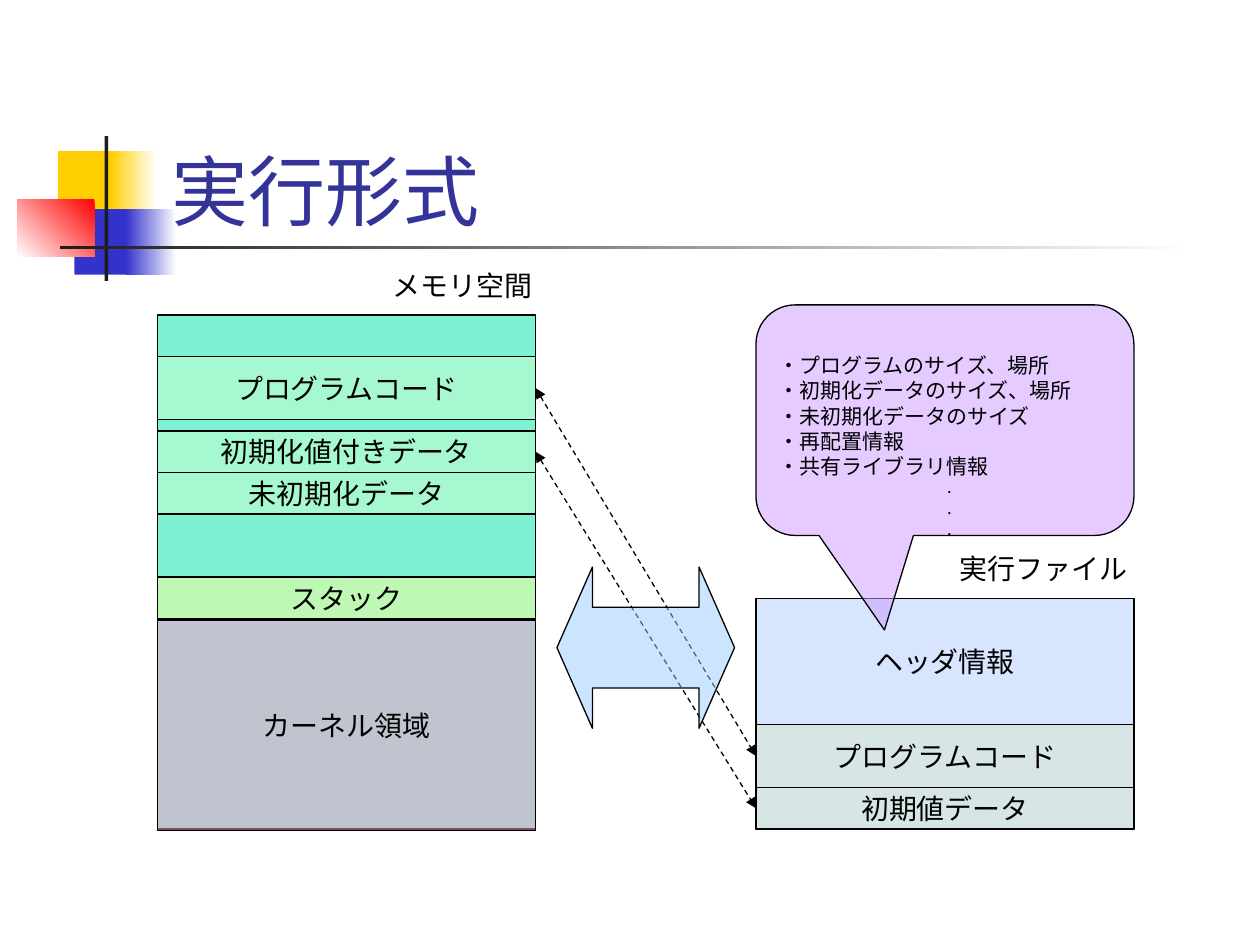
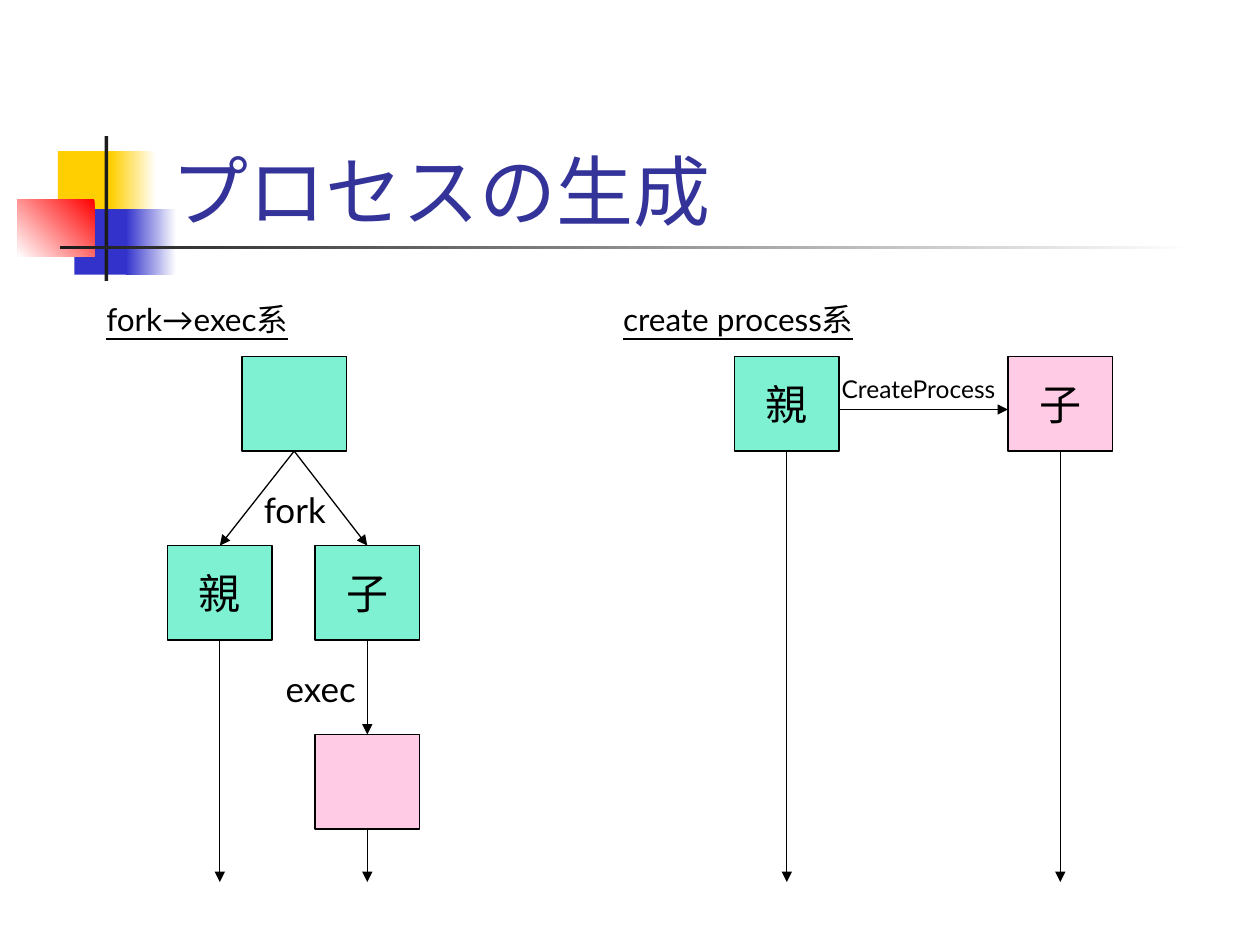
from lxml.etree import SubElement
from pptx import Presentation
from pptx.dml.color import RGBColor
from pptx.enum.dml import MSO_LINE
from pptx.enum.shapes import MSO_CONNECTOR, MSO_SHAPE
from pptx.enum.text import MSO_ANCHOR, MSO_AUTO_SIZE, PP_ALIGN
from pptx.oxml.ns import qn
from pptx.util import Inches, Pt

FONT = "Lato"
HUES = {
    "ink": "000000", "title": "333399", "white": "FFFFFF",
    "gold": "FFCF01", "blue": "3333CC", "red": "FF0000", "dark": "1C1C1C",
    "green": "00E4A8", "mint": "CCFFCC", "pink": "FF99CC",
    "lemon": "FFFF99", "violet": "CC99FF", "aqua": "CCFFFF", "sky": "99CCFF",
}
TOP, LEFT, BOTTOM, RIGHT = range(4)

DECOR = [
    ((0.46, 1.2, 0.48, 0.52), ["gold"], 0),
    ((0.88, 1.2, 0.36, 0.52), ["white", "gold"], 180),
    ((0.59, 1.66, 0.46, 0.52), ["blue"], 0),
    ((1, 1.66, 0.4, 0.52), ["white", "blue"], 180),
    ((0.14, 1.58, 0.61, 0.46), ["red", "white"], 225),
    ((0.83, 1.08, 0.03, 1.15), ["dark"], 0),
    ((0.48, 1.95, 9, 0.03), ["white", "dark"], 180),
]

BAR = 3
MEMORY = 1.25, [
    (2.5, 4.08, "green", ""),
    (4.92, 1.67, "pink", "カーネル領域"),
    (2.83, 0.5, "mint", "プログラムコード"),
    (3.42, 0.33, "mint", "初期化値付きデータ"),
    (4.58, 0.33, "lemon", "スタック"),
    (3.75, 0.33, "mint", "未初期化データ"),
]
FILE = 6, [
    (4.75, 1.83, "violet", ""),
    (5.75, 0.5, "mint", "プログラムコード"),
    (6.25, 0.33, "mint", "初期値データ"),
    (4.75, 1, "aqua", "ヘッダ情報"),
]
LINKS = [("プログラムコード", "プログラムコード"), ("初期化値付きデータ", "初期値データ")]
HEADER = [
    "・プログラムのサイズ、場所",
    "・初期化データのサイズ、場所",
    "・未初期化データのサイズ",
    "・再配置情報",
    "・共有ライブラリ情報",
]

SIDE, TALL, END = 0.83, 0.75, 7
NODES = {
    "root": (1.92, 2.83, "green", ""),
    "parent": (1.33, 4.33, "green", "親"),
    "child": (2.5, 4.33, "green", "子"),
    "image": (2.5, 5.83, "pink", ""),
    "maker": (5.83, 2.83, "green", "親"),
    "made": (8, 2.83, "pink", "子"),
}
EDGES = [("root", "parent"), ("root", "child"), ("child", "image")]
TAILS = ["parent", "image", "maker", "made"]
LABELS = [
    ((0.69, 2.33, 1.75, 0.4), "fork→exec系", 18, True),
    ((1.98, 3.83, 0.72, 0.44), "fork", 20, False),
    ((2.15, 5.25, 0.79, 0.44), "exec", 20, False),
    ((4.76, 2.33, 2.2, 0.4), "create process系", 18, True),
    ((6.54, 2.92, 1.5, 0.34), "CreateProcess", 14, False),
]


def tint(name):
    return RGBColor.from_string(HUES[name])


def write(frame, lines, size, hue="ink", align=None, under=False):
    frame.text = "\n".join(lines)
    for para in frame.paragraphs:
        para.alignment = align
        font = para.font
        font.size, font.name = Pt(size), FONT
        font.color.rgb = tint(hue)
        if under:
            font.underline = True
        base = para._p.pPr.find(qn("a:defRPr"))
        SubElement(base, qn("a:ea"), typeface=FONT)


def label(slide, box, lines, size, wrap=False, **style):
    frame = slide.shapes.add_textbox(*map(Inches, box)).text_frame
    write(frame, lines, size, **style)
    frame.word_wrap = wrap
    frame.auto_size = MSO_AUTO_SIZE.SHAPE_TO_FIT_TEXT
    return frame


def block(slide, box, hue, text="", size=16, kind=MSO_SHAPE.RECTANGLE):
    shape = slide.shapes.add_shape(kind, *map(Inches, box))
    shape.shadow.inherit = False
    shape.fill.solid()
    shape.fill.fore_color.rgb = tint(hue)
    paint = shape._element.spPr.find(qn("a:solidFill"))[0]
    SubElement(paint, qn("a:alpha"), val="50000")
    shape.line.color.rgb = tint("ink")
    shape.line.width = Pt(0.75)
    if text:
        frame = shape.text_frame
        write(frame, [text], size, align=PP_ALIGN.CENTER)
        frame.vertical_anchor = MSO_ANCHOR.MIDDLE
        frame.word_wrap = False
    return shape


def arrow(slide, start, end, both=False):
    line = slide.shapes.add_connector(MSO_CONNECTOR.STRAIGHT, *start, *end)
    line.line.color.rgb = tint("ink")
    line.line.width = Pt(0.75)
    if both:
        line.line.dash_style = MSO_LINE.DASH
    props = line._element.spPr
    stroke = props.find(qn("a:ln"))
    for tip in ["a:headEnd", "a:tailEnd"] if both else ["a:tailEnd"]:
        SubElement(stroke, qn(tip), type="triangle")
    SubElement(props, qn("a:effectLst"))
    return line


def join(slide, first, site, last, goal, both=False):
    line = arrow(slide, (0, 0), (0, 0), both)
    line.begin_connect(first, site)
    line.end_connect(last, goal)


def start(deck, title):
    slide = deck.slides.add_slide(deck.slide_layouts[6])
    for box, hues, angle in DECOR:
        shape = slide.shapes.add_shape(MSO_SHAPE.RECTANGLE, *map(Inches, box))
        shape.shadow.inherit = False
        shape.line.fill.background()
        if len(hues) == 1:
            shape.fill.solid()
            shape.fill.fore_color.rgb = tint(hues[0])
        else:
            shape.fill.gradient()
            shape.fill.gradient_angle = angle
            for stop, hue in zip(shape.fill.gradient_stops, hues):
                stop.color.rgb = tint(hue)
    frame = label(slide, (1.26, 0.67, 8.52, 1.25), [title], 44, True, hue="title")
    frame.auto_size = MSO_AUTO_SIZE.NONE
    frame.vertical_anchor = MSO_ANCHOR.BOTTOM
    return slide


def stack(slide, left, rows):
    return {text: block(slide, (left, top, BAR, tall), hue, text)
            for top, tall, hue, text in rows}


def layout(deck):
    slide = start(deck, "実行形式")
    memory = stack(slide, *MEMORY)
    label(slide, (3.02, 2.08, 1.31, 0.37), ["メモリ空間"], 16)
    file = stack(slide, *FILE)
    bubble = block(slide, (6, 2.42, BAR, 1.83), "violet",
                   kind=MSO_SHAPE.ROUNDED_RECTANGULAR_CALLOUT)
    for i, value in enumerate([-0.16, 0.91, 0.17]):
        bubble.adjustments[i] = value
    label(slide, (6.08, 2.75, 2.92, 1.1), HEADER, 12, True)
    label(slide, (7.42, 3.73, 0.24, 0.6), ["."] * 3, 10)
    label(slide, (7.52, 4.33, 1.53, 0.37), ["実行ファイル"], 16)
    for here, there in LINKS:
        join(slide, memory[here], RIGHT, file[there], LEFT, True)
    swap = block(slide, (4.42, 4.5, 1.41, 1.28), "sky",
                 kind=MSO_SHAPE.LEFT_RIGHT_ARROW)
    swap.adjustments[0], swap.adjustments[1] = 0.5, 0.22


def process(deck):
    slide = start(deck, "プロセスの生成")
    nodes = {name: block(slide, (x, y, SIDE, TALL), hue, text, 24)
             for name, (x, y, hue, text) in NODES.items()}
    for first, last in EDGES:
        join(slide, nodes[first], BOTTOM, nodes[last], TOP)
    for name in TAILS:
        node = nodes[name]
        mid = node.left + node.width // 2
        line = arrow(slide, (mid, node.top + node.height), (mid, Inches(END)))
        line.begin_connect(node, BOTTOM)
    maker, made = nodes["maker"], nodes["made"]
    arrow(slide, (maker.left + maker.width, Inches(3.25)), (made.left, Inches(3.25)))
    for box, text, size, under in LABELS:
        label(slide, box, [text], size, align=PP_ALIGN.CENTER, under=under)


def main():
    deck = Presentation()
    deck.slide_width, deck.slide_height = Inches(10), Inches(7.5)
    layout(deck)
    process(deck)
    deck.save("out.pptx")


if __name__ == "__main__":
    main()
